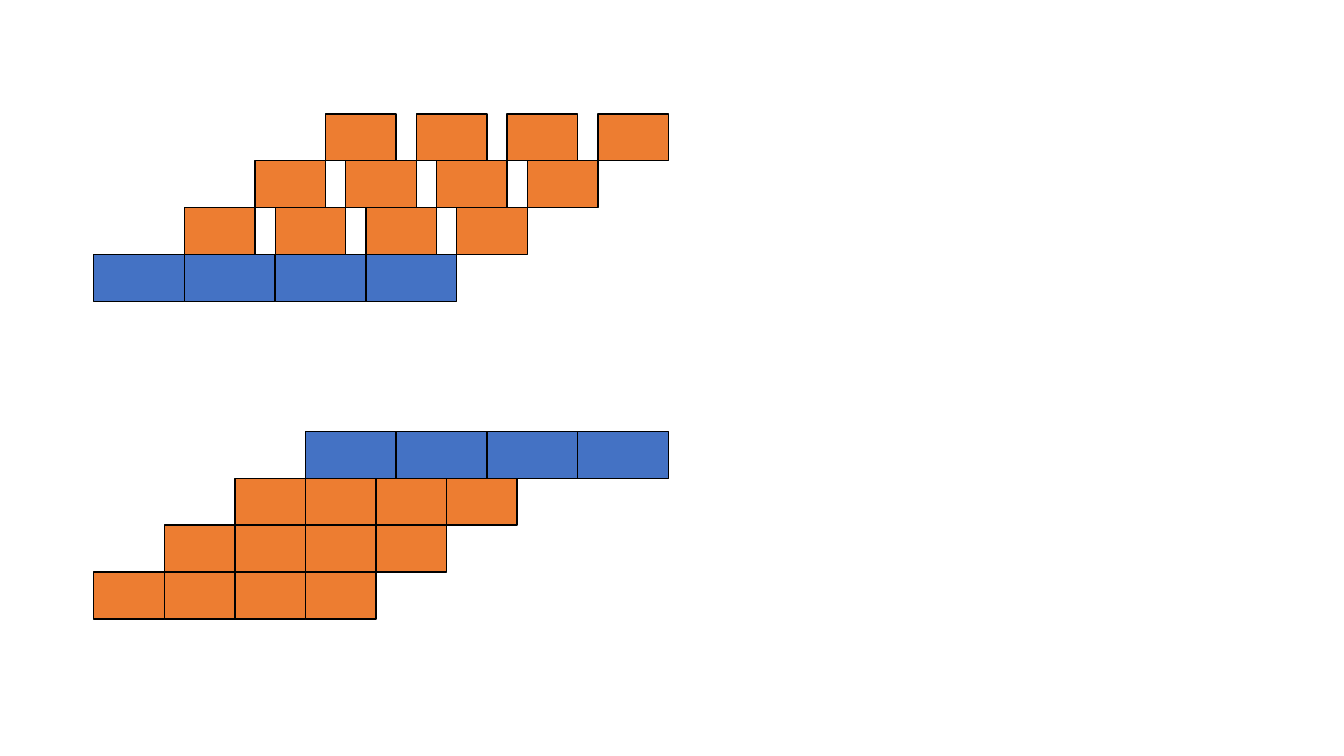
import pptx
import pptx.util
import pptx.dml.color
import pptx.enum.shapes

Inches = pptx.util.Inches
BLUE, ORANGE, BLACK = "4472C4", "ED7D31", "000000"
TASKS = 4        # blocks in each row
SHORT_ROWS = 3   # orange rows in each diagram
LONG, SHORT = 0.9, 0.7


def rgb(value):
    return pptx.dml.color.RGBColor.from_string(value)


def add_row(s, left, top, height, width, pitch, color):
    """Draw one row of equal blocks, spaced by the pitch."""
    for i in range(TASKS):
        sp = s.shapes.add_shape(
            pptx.enum.shapes.MSO_SHAPE.RECTANGLE,
            Inches(left + i * pitch), Inches(top), Inches(width), Inches(height))
        sp.shadow.inherit = False
        sp.fill.solid()
        sp.fill.fore_color.rgb = rgb(color)
        sp.line.color.rgb = rgb(BLACK)
        sp.line.width = pptx.util.Pt(1)


def add_long_first(s, left, top, height):
    """Long stage at the bottom: the short stages wait for it."""
    row = height / (SHORT_ROWS + 1)
    add_row(s, left, top + SHORT_ROWS * row, row, LONG, LONG, BLUE)
    for k in range(SHORT_ROWS):
        add_row(s, left + LONG + k * SHORT, top + (SHORT_ROWS - 1 - k) * row,
                row, SHORT, LONG, ORANGE)


def add_long_last(s, left, top, height):
    """Long stage at the top: the short stages run without gaps."""
    row = height / (SHORT_ROWS + 1)
    add_row(s, left + SHORT_ROWS * SHORT, top, row, LONG, LONG, BLUE)
    for k in range(SHORT_ROWS):
        add_row(s, left + k * SHORT, top + (SHORT_ROWS - k) * row,
                row, SHORT, SHORT, ORANGE)


def main():
    prs = pptx.Presentation()
    prs.slide_width, prs.slide_height = Inches(13.33), Inches(7.5)
    s = prs.slides.add_slide(prs.slide_layouts[6])

    # Upper and lower pipeline diagrams
    add_long_first(s, 0.93, 1.13, 1.86)
    add_long_last(s, 0.93, 4.28, 1.86)

    prs.save("out.pptx")


if __name__ == "__main__":
    main()
